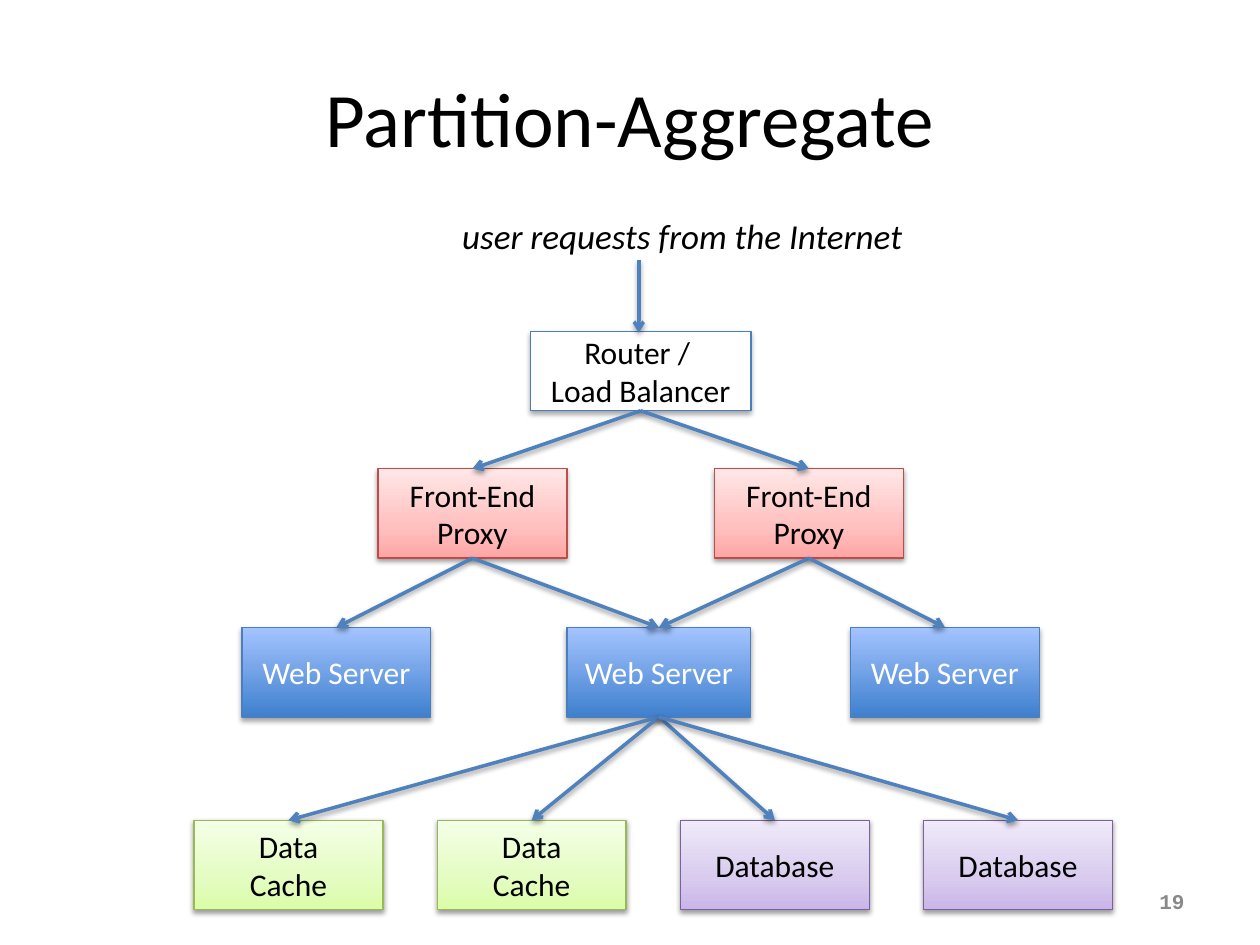
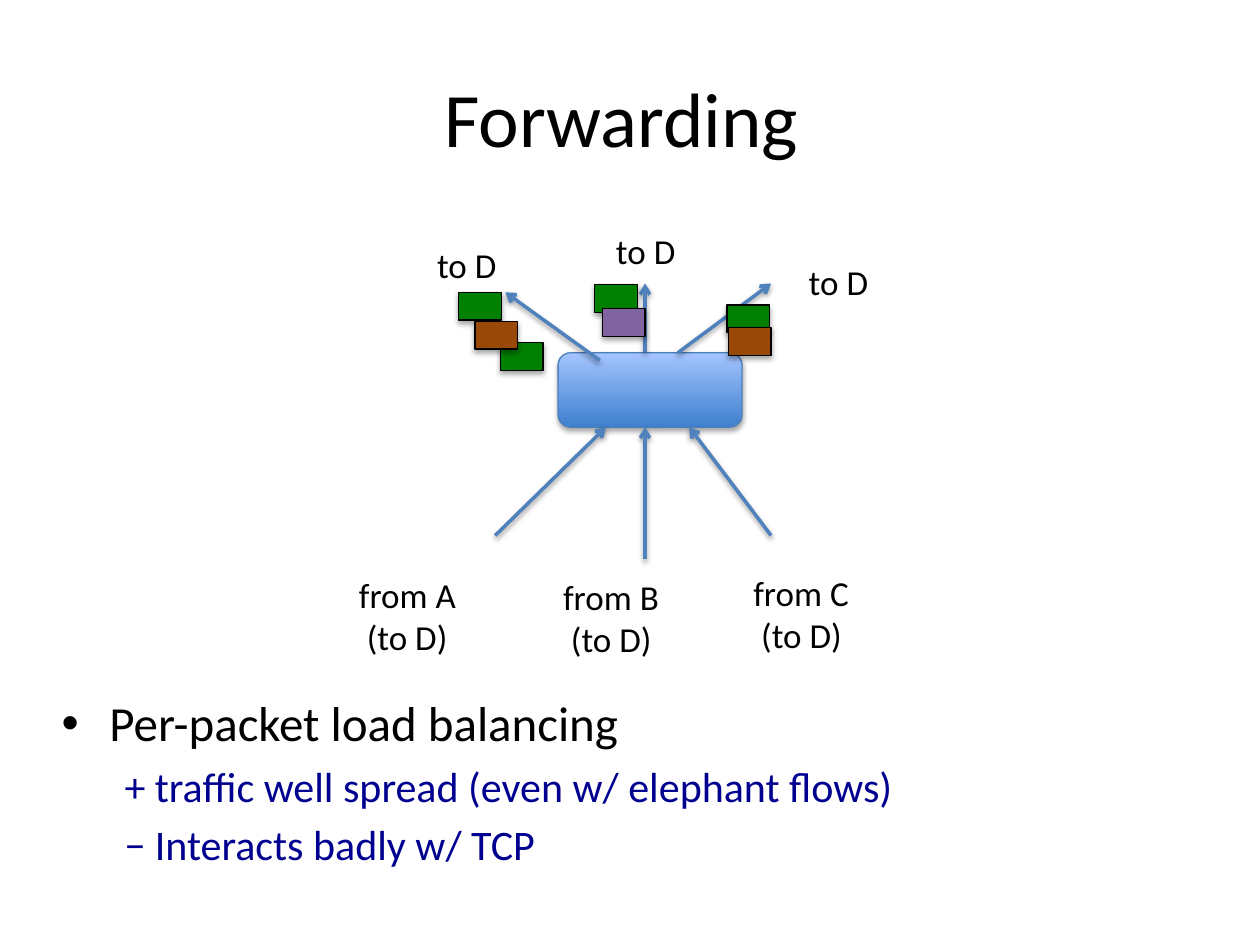
from dataclasses import dataclass
from typing import NamedTuple

from lxml import etree
from pptx import Presentation
from pptx.dml.color import RGBColor
from pptx.enum import shapes as kinds, text as txt
from pptx.oxml.ns import qn
from pptx.util import Inches, Pt

LEFT, MID, RIGHT = txt.PP_ALIGN.LEFT, txt.PP_ALIGN.CENTER, txt.PP_ALIGN.RIGHT
RECT = kinds.MSO_SHAPE.RECTANGLE
ROUND = kinds.MSO_SHAPE.ROUNDED_RECTANGLE


class Shade(NamedTuple):
    alpha: int
    dist: float


HARD, SOFT = Shade(35, 1.8), Shade(38, 1.6)


class Look(NamedTuple):
    """Fill stops run from the bottom edge up; a single stop is a solid fill."""
    stops: tuple
    line: str
    ink: str = "000000"
    shade: Shade = SOFT


@dataclass(frozen=True)
class Theme:
    font: str = "Calibri"
    mono: str = "Courier New"
    ink: str = "000000"
    grey: str = "898989"
    navy: str = "000090"
    arrow: str = "4F81BD"
    title: int = 44
    body: int = 28
    sub: int = 24
    label: int = 20
    node: int = 18
    foot: int = 12
    plain: Look = Look(((0, "FFFFFF"),), "4B7EBC", shade=HARD)
    blue: Look = Look(((0, "3F80CE"), (100, "A4C4FF")), "4B7EBC", "FFFFFF", HARD)
    red: Look = Look(((0, "FFA6A5"), (35, "FFC0BF"), (100, "FFE7E7")), "BF4C48")
    lime: Look = Look(((0, "DAFDA7"), (35, "E4FCC2"), (100, "F5FFE7")), "98B955")
    mauve: Look = Look(((0, "C9B5E8"), (35, "D8CBEE"), (100, "F0EAF9")), "7D60A0")


THEME = Theme()


def packet(color: str) -> Look:
    return Look(((0, color),), "000000", shade=HARD)


GREEN, BROWN, PURPLE = map(packet, ("008000", "984807", "8064A2"))


class Box(NamedTuple):
    x: float
    y: float
    w: float
    h: float

    def place(self) -> tuple:
        return tuple(Inches(n) for n in self)


class Node(NamedTuple):
    text: str
    box: Box
    look: Look


def style(par, size: int, color: str, align=LEFT, font: str = THEME.font,
          bold: bool = False, slant: bool = False) -> None:
    par.alignment = align
    for run in par.runs:
        face = run.font
        face.name, face.size = font, Pt(size)
        face.bold, face.italic = bold, slant
        face.color.rgb = RGBColor.from_string(color)


def add_text(slide, words: str, box: Box, size: int, color: str = THEME.ink,
             wrap: bool = False, anchor=txt.MSO_ANCHOR.TOP, **face) -> None:
    frame = slide.shapes.add_textbox(*box.place()).text_frame
    frame.word_wrap, frame.vertical_anchor = wrap, anchor
    frame.text = words
    for par in frame.paragraphs:
        style(par, size, color, **face)


def add_title(slide, words: str) -> None:
    add_text(slide, words, Box(0.5, 0.3, 9, 1.25), THEME.title, wrap=True,
             anchor=txt.MSO_ANCHOR.MIDDLE, align=MID)


def add_shade(props, shade: Shade) -> None:
    """Drop a black shadow straight down."""
    effects = props.find(qn("a:effectLst"))
    if effects is None:
        effects = etree.SubElement(props, qn("a:effectLst"))
    outer = etree.SubElement(
        effects, qn("a:outerShdw"), blurRad=str(Pt(3.1)), dist=str(Pt(shade.dist)),
        dir="5400000", rotWithShape="0")
    black = etree.SubElement(outer, qn("a:srgbClr"), val="000000")
    etree.SubElement(black, qn("a:alpha"), val=str(shade.alpha * 1000))


def paint(shape, look: Look) -> None:
    fill, props = shape.fill, shape._element.spPr
    if len(look.stops) == 1:
        fill.solid()
        fill.fore_color.rgb = RGBColor.from_string(look.stops[0][1])
    else:
        fill.gradient()
        fill.gradient_angle = 90
        stops = props.find(".//" + qn("a:gsLst"))
        for old in list(stops):
            stops.remove(old)
        for pos, color in look.stops:
            stop = etree.SubElement(stops, qn("a:gs"), pos=str(pos * 1000))
            etree.SubElement(stop, qn("a:srgbClr"), val=color)
    shape.line.color.rgb = RGBColor.from_string(look.line)
    shape.line.width = Pt(0.75)
    shape.shadow.inherit = False
    add_shade(props, look.shade)


def add_node(slide, node: Node, kind=RECT):
    shape = slide.shapes.add_shape(kind, *node.box.place())
    paint(shape, node.look)
    if node.text:
        shape.text_frame.text = node.text
        for par in shape.text_frame.paragraphs:
            style(par, THEME.node, node.look.ink, MID)
    return shape


def add_arrow(slide, start: tuple = (0, 0), end: tuple = (0, 0)):
    link = slide.shapes.add_connector(
        kinds.MSO_CONNECTOR.STRAIGHT, *(Inches(n) for n in (*start, *end)))
    link.line.color.rgb = RGBColor.from_string(THEME.arrow)
    link.line.width = Pt(2)
    etree.SubElement(link.line._get_or_add_ln(), qn("a:tailEnd"), type="arrow")
    add_shade(link._element.spPr, SOFT)
    return link


def join(slide, top, low) -> None:
    """Run an arrow from the foot of one node to the head of another."""
    link = add_arrow(slide)
    link.begin_connect(top, 2)
    link.end_connect(low, 0)


def build_tree(slide) -> None:
    add_title(slide, "Partition-Aggregate")
    add_text(slide, "19", Box(7.17, 6.95, 2.33, 0.4), THEME.foot, THEME.grey,
             wrap=True, anchor=txt.MSO_ANCHOR.MIDDLE, align=RIGHT,
             font=THEME.mono, bold=True)
    wide, high = 1.5, 0.71
    router = add_node(slide, Node("Router / \vLoad Balancer",
                                  Box(4.21, 2.63, 1.75, 0.63), THEME.plain))
    webs = [add_node(slide, Node("Web Server", Box(x, 4.98, w, high), THEME.blue))
            for x, w in ((1.92, wide), (4.5, 1.46), (6.75, wide))]
    stores = [("Data\nCache", THEME.lime)] * 2 + [("Database", THEME.mauve)] * 2
    leaves = [add_node(slide, Node(name, Box(1.54 + 1.93 * i, 6.51, wide, high), look))
              for i, (name, look) in enumerate(stores)]
    fronts = [add_node(slide, Node("Front-End\nProxy", Box(x, 3.72, wide, high), THEME.red))
              for x in (3, 5.67)]

    links = [(router, fronts)]
    links += [(front, webs[i:i + 2]) for i, front in enumerate(fronts)]
    links.append((webs[1], leaves))
    for top, lows in links:
        for low in lows:
            join(slide, top, low)
    add_arrow(slide, (5.07, 2.06), (5.07, 2.64))
    add_text(slide, "user requests from the Internet", Box(3.57, 1.65, 3.8, 0.44),
             THEME.label, slant=True)


def add_points(slide) -> None:
    frame = slide.shapes.add_textbox(*Box(0.39, 5.45, 9.16, 1.85).place()).text_frame
    frame.word_wrap = True
    frame.text = ("Per-packet load balancing\n"
                  "+ traffic well spread (even w/ elephant flows)\n"
                  "− Interacts badly w/ TCP")
    head, *subs = frame.paragraphs
    props = head._p.get_or_add_pPr()
    props.set("marL", str(Inches(0.38)))
    props.set("indent", str(-Inches(0.38)))
    etree.SubElement(props, qn("a:buFont"), typeface="Arial")
    etree.SubElement(props, qn("a:buChar"), char="•")
    style(head, THEME.body, THEME.ink)
    for par in subs:
        par._p.get_or_add_pPr().set("marL", str(Inches(0.5)))
        par.space_before = Pt(THEME.sub * 0.2)
        style(par, THEME.sub, THEME.navy)


def build_switch(slide) -> None:
    add_title(slide, "Forwarding ")
    add_points(slide)
    add_node(slide, Node("", Box(4.43, 2.8, 1.46, 0.59), THEME.blue), ROUND)
    outs = (((4.76, 2.86), (4.01, 2.32)), ((5.12, 2.79), (5.12, 2.25)),
            ((5.38, 2.8), (6.12, 2.25)))
    ins = (((3.93, 4.25), (4.81, 3.39)), ((5.12, 4.44), (5.12, 3.39)),
           ((6.12, 4.25), (5.47, 3.39)))
    for start, end in outs + ins:
        add_arrow(slide, start, end)
    for x, y in ((4.79, 1.77), (3.37, 1.88), (6.32, 2.02)):
        add_text(slide, "to D", Box(x, y, 0.68, 0.44), THEME.label)
    packets = (
        (GREEN, ((3.64, 2.32), (4.72, 2.26), (5.77, 2.42), (3.97, 2.72))),
        (BROWN, ((3.77, 2.55), (5.78, 2.6))),
        (PURPLE, ((4.78, 2.45),)),
    )
    for look, spots in packets:
        for x, y in spots:
            add_node(slide, Node("", Box(x, y, 0.34, 0.22), look))
    for host, x, y in (("A", 2.75, 4.5), ("B", 4.37, 4.52), ("C", 5.88, 4.49)):
        add_text(slide, f"from {host}\v (to D)", Box(x, y, 0.99, 0.77), THEME.label)


def main() -> None:
    deck = Presentation()
    deck.slide_width, deck.slide_height = Inches(10), Inches(7.5)
    for build in (build_tree, build_switch):
        build(deck.slides.add_slide(deck.slide_layouts[6]))
    deck.save("out.pptx")


if __name__ == "__main__":
    main()
